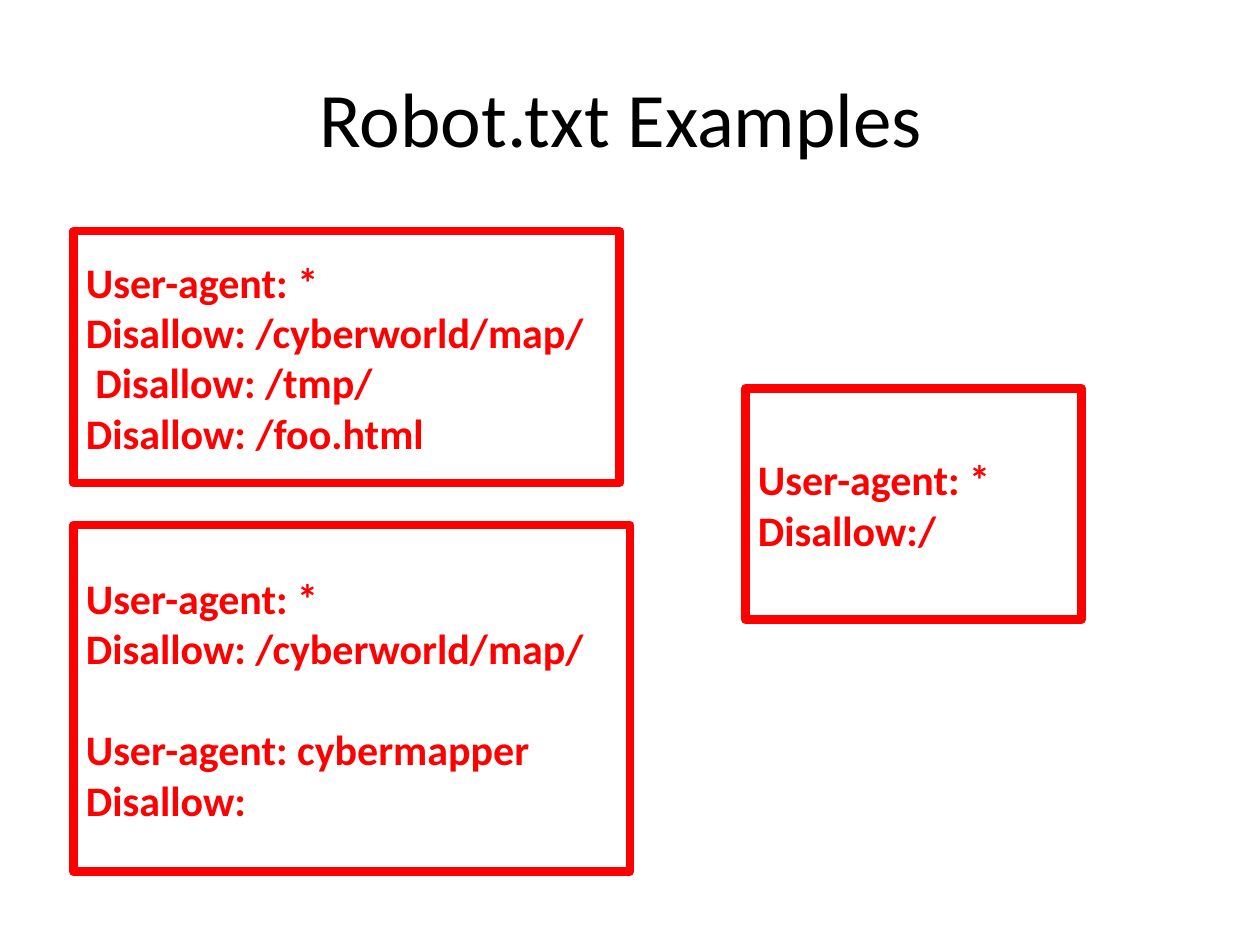
from pptx import Presentation
from pptx.dml.color import RGBColor
from pptx.enum.shapes import MSO_SHAPE
from pptx.enum.text import MSO_ANCHOR, PP_ALIGN
from pptx.util import Inches, Pt

RECT = MSO_SHAPE.RECTANGLE
MIDDLE = MSO_ANCHOR.MIDDLE
LEFT, CENTER = PP_ALIGN.LEFT, PP_ALIGN.CENTER
RED = RGBColor(0xFF, 0x00, 0x00)
BLACK = RGBColor(0x00, 0x00, 0x00)

TITLE_FONT = {"name": "Calibri", "size": Pt(44), "bold": False}
RULE_FONT = {"name": "Calibri", "size": Pt(24), "bold": True}
BLOCK_GAP = Pt(29)  # one line between record groups

prs = Presentation()
prs.slide_width, prs.slide_height = Inches(10), Inches(7.5)
s = prs.slides.add_slide(prs.slide_layouts[6])
UNIT = Inches(1) // 12  # grid of twelve columns and rows to the inch


def write(tf, groups, font, color, align):
    """Write groups of lines, with a gap before each group but the first."""
    tf.word_wrap = True
    tf.vertical_anchor = MIDDLE
    p = tf.paragraphs[0]
    for g, lines in enumerate(groups):
        for i, line in enumerate(lines):
            if g or i:
                p = tf.add_paragraph()
            p.alignment = align
            if g and not i:
                p.space_before = BLOCK_GAP
            r = p.add_run()
            r.text = line
            r.font.color.rgb = color
            for key, value in font.items():
                setattr(r.font, key, value)


# Title
title = s.shapes.add_textbox(Inches(0.5), Inches(0.3), Inches(9), Inches(1.25))
write(title.text_frame, [["Robot.txt Examples "]], TITLE_FONT, BLACK, CENTER)

# Example files: column, row, columns wide, rows high, groups of lines
examples = [
    (7, 22, 52, 24, [["User-agent: *", "Disallow: /cyberworld/map/",
                      " Disallow: /tmp/", "Disallow: /foo.html"]]),
    (7, 50, 53, 33, [["User-agent: *", "Disallow: /cyberworld/map/"],
                     ["User-agent: cybermapper Disallow:"]]),
    (71, 37, 32, 22, [["User-agent: *", "Disallow:/"]]),
]
for col, row, cols, rows, groups in examples:
    sp = s.shapes.add_shape(RECT, col * UNIT, row * UNIT, cols * UNIT, rows * UNIT)
    sp.shadow.inherit = False
    sp.fill.background()
    sp.line.color.rgb = RED
    sp.line.width = Pt(5)
    write(sp.text_frame, groups, RULE_FONT, RED, LEFT)

prs.save("out.pptx")
